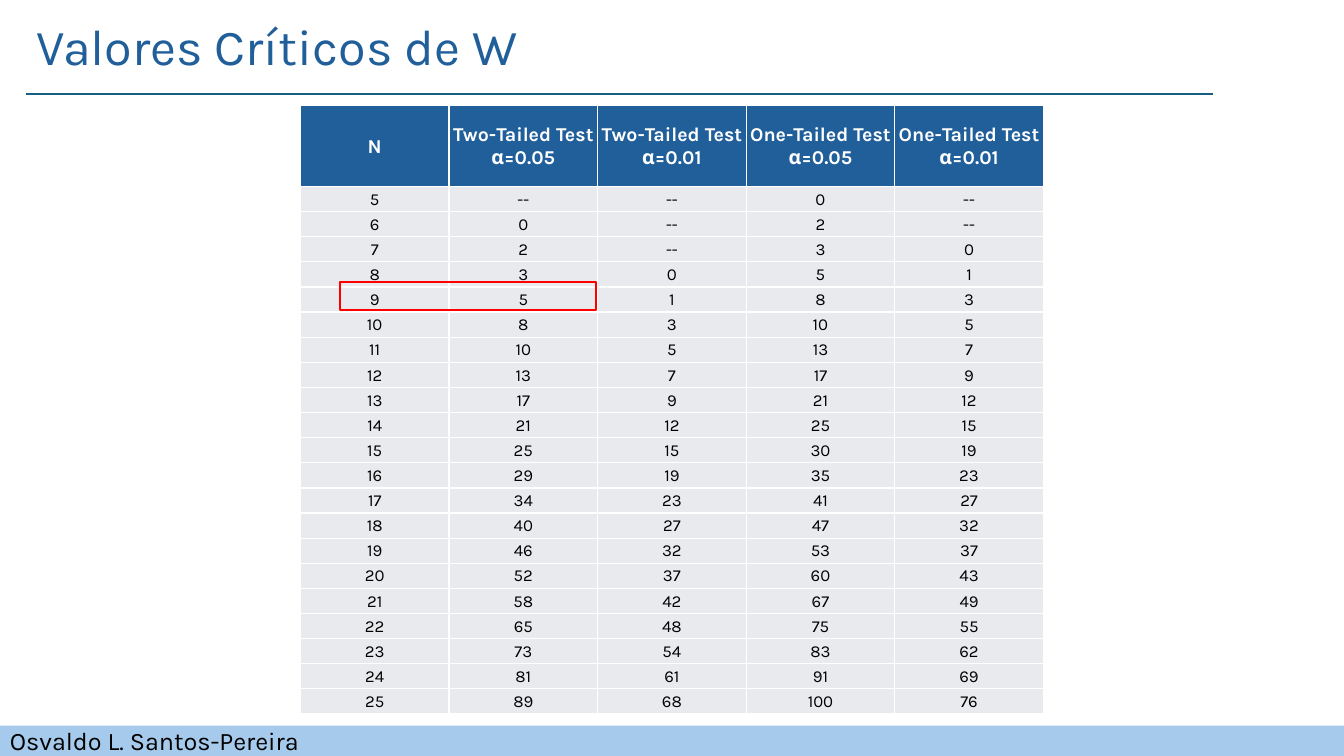
import pptx
import pptx.util
import pptx.dml.color
import pptx.enum.shapes
import pptx.enum.text
import pptx.oxml
import pptx.oxml.ns

TITLE = "Valores Críticos de W"
AUTHOR = "Osvaldo L. Santos-Pereira"
HEADERS = (
    "N",
    "Two-Tailed Test α=0.05",
    "Two-Tailed Test α=0.01",
    "One-Tailed Test α=0.05",
    "One-Tailed Test α=0.01",
)
FIRST_N = 5
CRITICAL_VALUES = [
    ("--", "--", 0, "--"),
    (0, "--", 2, "--"),
    (2, "--", 3, 0),
    (3, 0, 5, 1),
    (5, 1, 8, 3),
    (8, 3, 10, 5),
    (10, 5, 13, 7),
    (13, 7, 17, 9),
    (17, 9, 21, 12),
    (21, 12, 25, 15),
    (25, 15, 30, 19),
    (29, 19, 35, 23),
    (34, 23, 41, 27),
    (40, 27, 47, 32),
    (46, 32, 53, 37),
    (52, 37, 60, 43),
    (58, 42, 67, 49),
    (65, 48, 75, 55),
    (73, 54, 83, 62),
    (81, 61, 91, 69),
    (89, 68, 100, 76),
]

Inches = pptx.util.Inches
Pt = pptx.util.Pt
ALIGN = pptx.enum.text.PP_ALIGN
ANCHOR = pptx.enum.text.MSO_ANCHOR
RECTANGLE = pptx.enum.shapes.MSO_SHAPE.RECTANGLE

FONT = "Karla"
BLUE, GREY, WHITE, BLACK = "215F9A", "E8EAED", "FFFFFF", "000000"
SLIDE_WIDTH, SLIDE_HEIGHT = 13.33, 7.5
LEFT, CONTENT_WIDTH, RULE_TOP = 0.26, 11.77, 0.93
FOOTER_HEIGHT = 0.3
TABLE_LEFT, TABLE_TOP, TABLE_WIDTH, TABLE_HEIGHT = 2.98, 1.05, 7.37, 6.04
HEADER_HEIGHT = 0.8
CELL_FORMAT = {
    "vertical_anchor": ANCHOR.MIDDLE,
    "margin_left": Inches(0.01),
    "margin_right": Inches(0.01),
    "margin_top": Inches(0.01),
    "margin_bottom": 0,
}


def color(value):
    return pptx.dml.color.RGBColor.from_string(value)


def apply(target, values):
    for name, value in values.items():
        setattr(target, name, value)


def write(frame, text, size, ink, align=ALIGN.LEFT, bold=False):
    para = frame.paragraphs[0]
    para.alignment = align
    span = para.add_run()
    span.text = text
    apply(span.font, {"name": FONT, "size": Pt(size), "bold": bold})
    span.font.color.rgb = color(ink)


def paint(shape, fill=None, line=None):
    shape.shadow.inherit = False
    if fill:
        shape.fill.solid()
        shape.fill.fore_color.rgb = color(fill)
    else:
        shape.fill.background()
    if line:
        shape.line.color.rgb = color(line)
        shape.line.width = Pt(1.5)
    else:
        shape.line.fill.background()


def add_borders(cell):
    properties = cell._tc.get_or_add_tcPr()
    for index, side in enumerate(("lnL", "lnR", "lnT", "lnB")):
        border = pptx.oxml.parse_xml(
            f'<a:{side} {pptx.oxml.ns.nsdecls("a")} w="{Pt(1)}"><a:solidFill>'
            f'<a:srgbClr val="{WHITE}"/></a:solidFill></a:{side}>'
        )
        properties.insert(index, border)


def add_title(page):
    title = page.shapes.title
    apply(title, {
        "left": Inches(LEFT), "top": Inches(0.1),
        "width": Inches(CONTENT_WIDTH), "height": Inches(0.71),
    })
    apply(title.text_frame, {"vertical_anchor": ANCHOR.TOP, "word_wrap": True})
    write(title.text_frame, TITLE, 36, BLUE)


def add_footer(page):
    footer = page.shapes.add_shape(
        RECTANGLE, 0, Inches(SLIDE_HEIGHT - FOOTER_HEIGHT),
        Inches(SLIDE_WIDTH), Inches(FOOTER_HEIGHT),
    )
    paint(footer, fill="A6CAEC")
    footer.text_frame.vertical_anchor = ANCHOR.MIDDLE
    write(footer.text_frame, AUTHOR, 18, BLACK)


def add_rule(page):
    rule = page.shapes.add_connector(
        pptx.enum.shapes.MSO_CONNECTOR.STRAIGHT, Inches(LEFT), Inches(RULE_TOP),
        Inches(LEFT + CONTENT_WIDTH), Inches(RULE_TOP),
    )
    rule.line.color.rgb = color("156082")
    rule.line.width = Pt(1.5)
    rule._element.spPr.append(
        pptx.oxml.parse_xml(f'<a:effectLst {pptx.oxml.ns.nsdecls("a")}/>')
    )


def add_values_table(page):
    rows = [HEADERS] + [(n, *values) for n, values in enumerate(CRITICAL_VALUES, FIRST_N)]
    table = page.shapes.add_table(
        len(rows), len(HEADERS), Inches(TABLE_LEFT), Inches(TABLE_TOP),
        Inches(TABLE_WIDTH), Inches(TABLE_HEIGHT),
    ).table
    table.horz_banding = False
    for column in table.columns:
        column.width = Inches(TABLE_WIDTH / len(HEADERS))
    row_height = (TABLE_HEIGHT - HEADER_HEIGHT) / len(CRITICAL_VALUES)
    for index, values in enumerate(rows):
        header = index == 0
        table.rows[index].height = Inches(HEADER_HEIGHT if header else row_height)
        size, ink, fill = (14, WHITE, BLUE) if header else (12, BLACK, GREY)
        for cell, value in zip(table.rows[index].cells, values):
            apply(cell, CELL_FORMAT)
            cell.fill.solid()
            cell.fill.fore_color.rgb = color(fill)
            add_borders(cell)
            write(cell.text_frame, str(value), size, ink, ALIGN.CENTER, header)


def add_highlight(page):
    highlight = page.shapes.add_shape(
        RECTANGLE, Inches(3.37), Inches(2.8), Inches(2.54), Inches(0.28)
    )
    paint(highlight, line="FF0000")


def main():
    deck = pptx.Presentation()
    deck.slide_width = Inches(SLIDE_WIDTH)
    deck.slide_height = Inches(SLIDE_HEIGHT)
    page = deck.slides.add_slide(deck.slide_layouts.get_by_name("Title Only"))
    add_title(page)
    add_footer(page)
    add_rule(page)
    add_values_table(page)
    add_highlight(page)
    deck.save("out.pptx")


if __name__ == "__main__":
    main()
